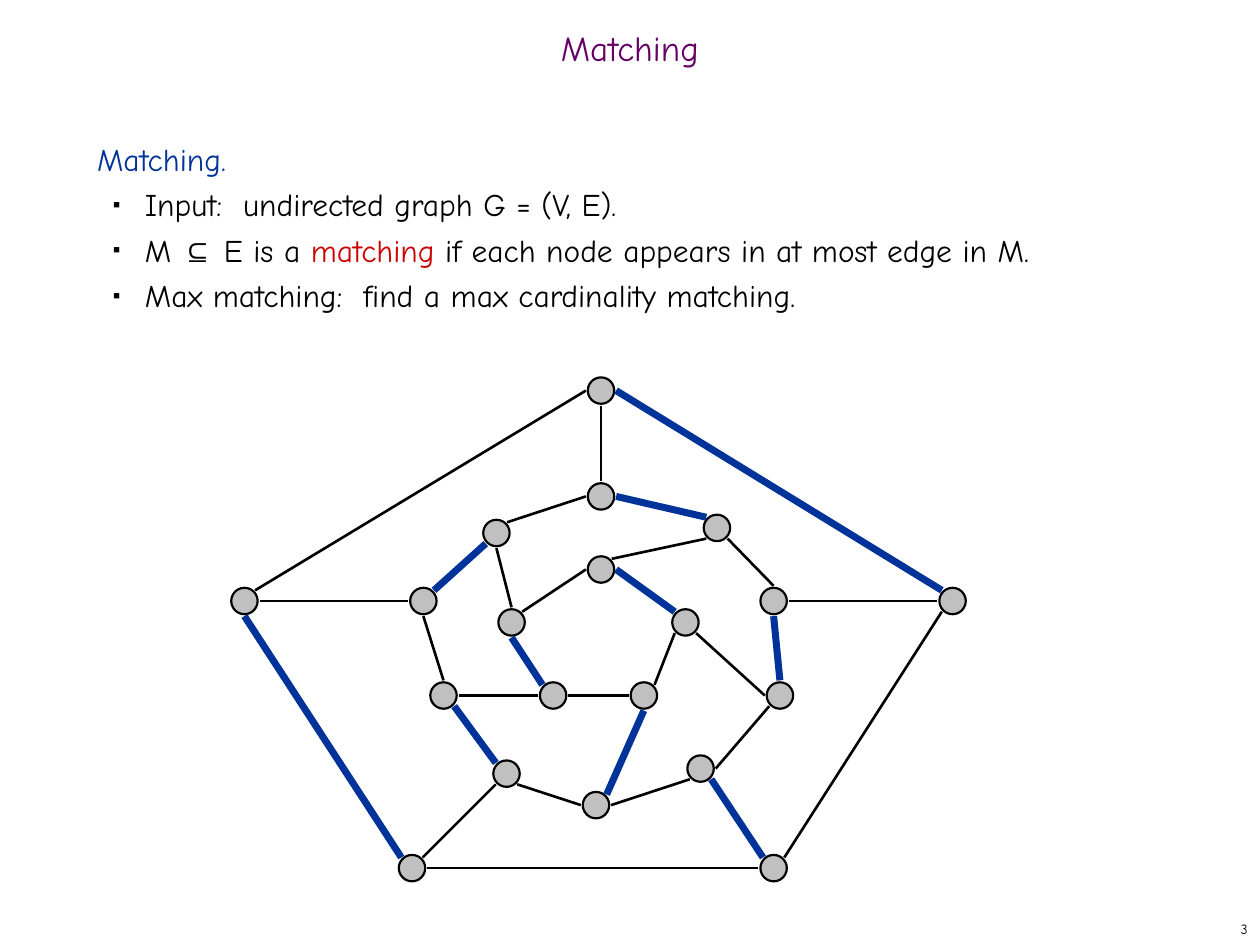
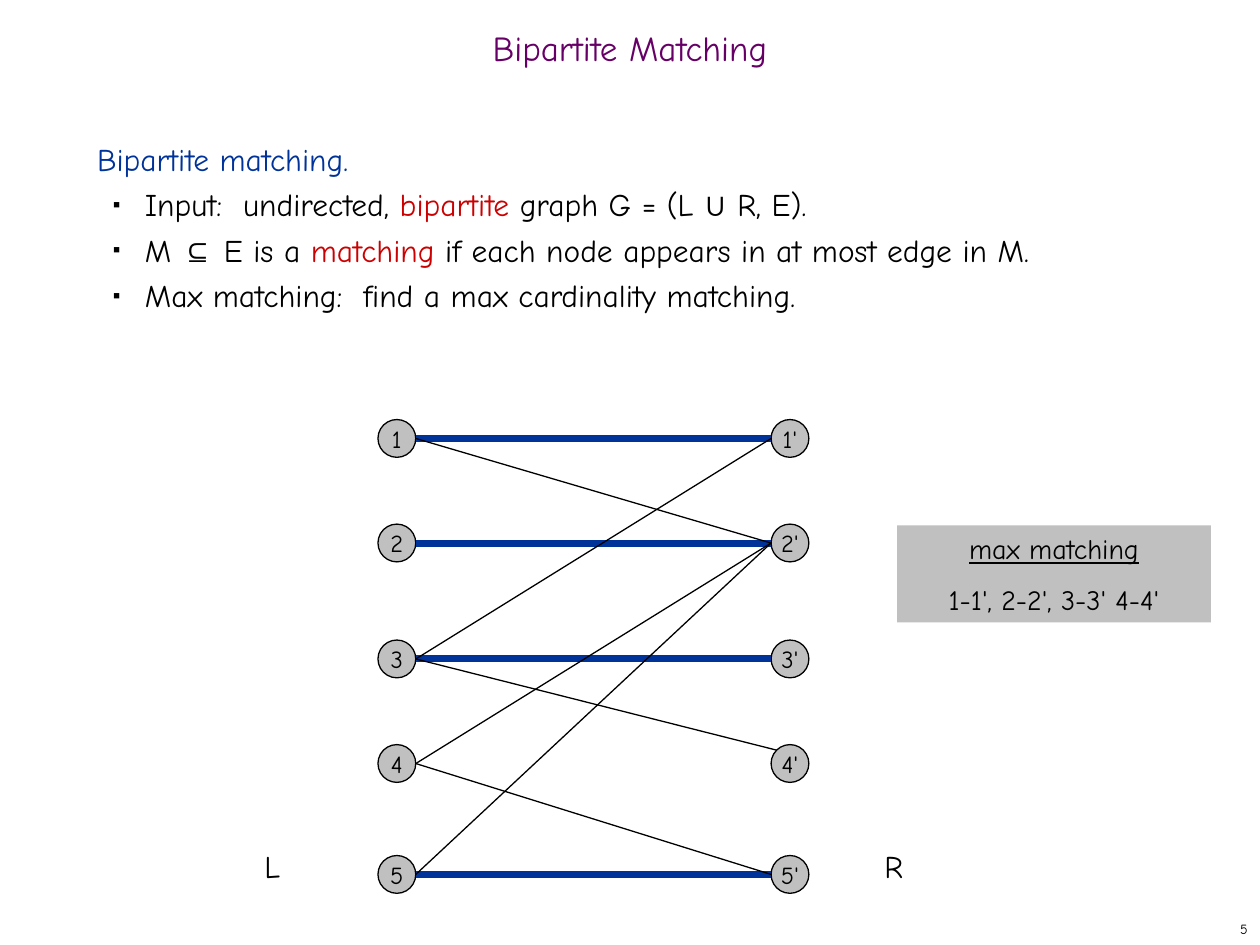
from math import hypot

from lxml.etree import SubElement
from pptx import Presentation
from pptx.dml.color import RGBColor
from pptx.enum.shapes import MSO_CONNECTOR as Connector, MSO_SHAPE as Preset
from pptx.enum.text import MSO_ANCHOR as Anchor, MSO_AUTO_SIZE as AutoSize, PP_ALIGN as Align
from pptx.oxml.ns import qn
from pptx.util import Inches, Pt

BLACK = RGBColor(0x00, 0x00, 0x00)
GREY = RGBColor(0xC0, 0xC0, 0xC0)
BLUE = RGBColor(0x00, 0x33, 0x99)
RED = RGBColor(0xCC, 0x00, 0x00)
PURPLE = RGBColor(0x66, 0x00, 0x66)
FONT, SYMBOL_FONT = "Comic Neue", "Arial"

TERM = {"color": RED}
SYMBOL = {"font": SYMBOL_FONT}

# Each list line is a list of (text, format) spans.
MATCHING_RULES = [
    [("M ", {}), ("⊆", SYMBOL), (" E is a ", {}), ("matching", TERM),
     (" if each node appears in at most edge in M.", {})],
    [("Max matching:  find a max cardinality matching.", {})],
]
GENERAL = {
    "title": "Matching",
    "heading": "Matching.",
    "bullets": [[("Input:  undirected graph G = (V, E).", {})]] + MATCHING_RULES,
    "number": "3",
}
BIPARTITE = {
    "title": "Bipartite Matching",
    "heading": "Bipartite matching.",
    "bullets": [[("Input:  undirected, ", {}), ("bipartite", TERM), (" graph G = (L ", {}),
                 ("∪", SYMBOL), (" R, E).", {})]] + MATCHING_RULES,
    "number": "5",
}

# Node centres in inches: o = outer ring, m = middle ring, i = inner ring.
GENERAL_NODES = {
    "o1": (4.77, 3.1), "o2": (7.56, 4.77), "o3": (6.14, 6.89), "o4": (3.27, 6.89),
    "o5": (1.94, 4.77),
    "m0": (4.77, 3.94), "m1": (5.69, 4.19), "m2": (6.14, 4.77), "m3": (6.19, 5.52),
    "m4": (5.56, 6.1), "m5": (4.73, 6.39), "m6": (4.02, 6.14), "m7": (3.52, 5.52),
    "m8": (3.36, 4.77), "m9": (3.94, 4.23),
    "i1": (4.77, 4.52), "i2": (5.44, 4.94), "i3": (5.11, 5.52), "i4": (4.39, 5.52),
    "i5": (4.06, 4.94),
}
# Edges are "node.side node.side", with compass sides.
GENERAL_MATCHED = [
    "o1.e o2.nw", "o4.nw o5.s", "m0.e m1.nw", "m2.s m3.n", "m6.nw m7.se",
    "m8.ne m9.sw", "o3.nw m4.se", "i3.s m5.ne", "i1.e i2.nw", "i4.nw i5.s",
]
GENERAL_FREE = [
    "o2.sw o3.ne", "o3.w o4.e", "o5.ne o1.w",
    "m1.se m2.n", "m3.sw m4.e", "m4.sw m5.e", "m5.w m6.se", "m7.n m8.s", "m9.ne m0.w",
    "o1.s m0.n", "o2.w m2.e", "o4.ne m6.sw", "o5.e m8.w",
    "m1.sw i1.ne", "m3.w i2.se", "m7.e i4.w", "m9.s i5.n",
    "i2.sw i3.ne", "i3.w i4.e", "i5.ne i1.w",
]

COLUMNS = {"": 3.15, "'": 6.27}
ROWS = [3.48, 4.31, 5.23, 6.06, 6.94]
BIPARTITE_NODES = {f"{row}{mark}": (x, y)
                   for mark, x in COLUMNS.items() for row, y in enumerate(ROWS, 1)}
BIPARTITE_MATCHED = [f"{row}.e {row}'.w" for row in (1, 2, 3, 5)]
BIPARTITE_FREE = ["1.e 2'.w", "4.e 2'.w", "3.e 4'.nw", "4.e 5'.w", "5.e 2'.w", "3.e 1'.w"]
SIDE_LABELS = {"L": 2, "R": 6.92}

COMPASS = {"n": (0, -1), "s": (0, 1), "w": (-1, 0), "e": (1, 0)}


def write(para, text, size=18, color=BLACK, font=FONT, underline=None, align=None):
    span = para.add_run()
    span.text = text
    span.font.size, span.font.name, span.font.underline = Pt(size), font, underline
    span.font.color.rgb = color
    if align is not None:
        para.alignment = align


def place(shape, left, top, width, height):
    shape.left, shape.top = Inches(left), Inches(top)
    shape.width, shape.height = Inches(width), Inches(height)


def add_label(page, box, text, anchor=Anchor.TOP, **text_format):
    frame = page.shapes.add_textbox(*map(Inches, box)).text_frame
    frame.word_wrap, frame.vertical_anchor = True, anchor
    write(frame.paragraphs[0], text, **text_format)


def set_bullet(para, bulleted):
    properties = para._p.get_or_add_pPr()
    properties.set("marL", str(Inches(0.38 if bulleted else 0)))
    properties.set("indent", str(Inches(-0.25 if bulleted else 0)))
    if not bulleted:
        SubElement(properties, qn("a:buNone"))
        return
    color = SubElement(properties, qn("a:buClr"))
    SubElement(color, qn("a:srgbClr"), val=str(BLACK))
    SubElement(properties, qn("a:buSzPct"), val="35000")
    SubElement(properties, qn("a:buFont"), typeface=SYMBOL_FONT)
    SubElement(properties, qn("a:buChar"), char="■")


def add_page(deck, content):
    page = deck.slides.add_slide(deck.slide_layouts[1])
    title, body = page.shapes.title, page.placeholders[1]

    place(title, 0, 0.17, 10, 0.5)
    title.text_frame.auto_size = AutoSize.NONE
    title.text_frame.vertical_anchor = Anchor.MIDDLE
    heading = title.text_frame.paragraphs[0]
    heading.line_spacing = 0.7
    write(heading, content["title"], size=20, color=PURPLE, align=Align.CENTER)

    place(body, 0.67, 1, 8.58, 5.92)
    frame = body.text_frame
    frame.auto_size = AutoSize.NONE
    lines = [[(content["heading"], {"color": BLUE})]] + content["bullets"]
    for index, spans in enumerate(lines):
        para = frame.add_paragraph() if index else frame.paragraphs[0]
        para.level = min(index, 1)
        set_bullet(para, bulleted=index > 0)
        para.line_spacing, para.space_before = Pt(26), Pt(0)
        for text, text_format in spans:
            write(para, text, **text_format)

    add_label(page, (7.92, 7.25, 2.08, 0.25), content["number"], anchor=Anchor.MIDDLE,
              size=8, align=Align.RIGHT)
    return page


def add_filled(page, preset, box):
    shape = page.shapes.add_shape(preset, *map(Inches, box))
    shape.shadow.inherit = False
    shape.fill.solid()
    shape.fill.fore_color.rgb = GREY
    return shape


def add_node(page, center, diameter, outline, text=""):
    x, y = center
    box = (x - diameter / 2, y - diameter / 2, diameter, diameter)
    node = add_filled(page, Preset.OVAL, box)
    node.line.color.rgb, node.line.width = BLACK, Pt(outline)
    if text:
        frame = node.text_frame
        frame.word_wrap, frame.vertical_anchor = False, Anchor.MIDDLE
        write(frame.paragraphs[0], text, size=14, align=Align.CENTER)


def find_end(nodes, end, radius):
    """Return the point on the named compass side of a node."""
    name, side = end.split(".")
    dx, dy = (sum(steps) for steps in zip(*(COMPASS[letter] for letter in side)))
    x, y = nodes[name]
    reach = radius / hypot(dx, dy)
    return Inches(x + dx * reach), Inches(y + dy * reach)


def add_edges(page, nodes, edges, radius, color, width):
    for edge in edges:
        start, finish = (find_end(nodes, end, radius) for end in edge.split())
        line = page.shapes.add_connector(Connector.STRAIGHT, *start, *finish)
        line.line.color.rgb, line.line.width = color, Pt(width)
        SubElement(line._element.spPr, qn("a:effectLst"))


def add_graph(page, nodes, matched, free, diameter, reach, outline, thin, named=False):
    for name, center in nodes.items():
        add_node(page, center, diameter, outline, name if named else "")
    add_edges(page, nodes, matched, reach, BLUE, 4)
    add_edges(page, nodes, free, reach, BLACK, thin)


def add_result(page):
    panel = add_filled(page, Preset.RECTANGLE, (7.12, 4.17, 2.49, 0.77))
    panel.line.fill.background()
    frame = panel.text_frame
    frame.word_wrap, frame.vertical_anchor = True, Anchor.TOP
    write(frame.paragraphs[0], "max matching", size=16, underline=True, align=Align.CENTER)
    pairs = frame.add_paragraph()
    pairs.space_before = Pt(10)
    write(pairs, "1-1', 2-2', 3-3' 4-4'", size=16, align=Align.CENTER)


def main():
    deck = Presentation()
    deck.slide_width, deck.slide_height = Inches(10), Inches(7.5)

    page = add_page(deck, GENERAL)
    add_graph(page, GENERAL_NODES, GENERAL_MATCHED, GENERAL_FREE,
              diameter=0.21, reach=0.12, outline=1.25, thin=1.5)

    page = add_page(deck, BIPARTITE)
    add_graph(page, BIPARTITE_NODES, BIPARTITE_MATCHED, BIPARTITE_FREE,
              diameter=0.3, reach=0.15, outline=0.75, thin=0.75, named=True)
    for text, left in SIDE_LABELS.items():
        add_label(page, (left, 6.67, 0.67, 0.4), text)
    add_result(page)

    deck.save("out.pptx")


if __name__ == "__main__":
    main()
